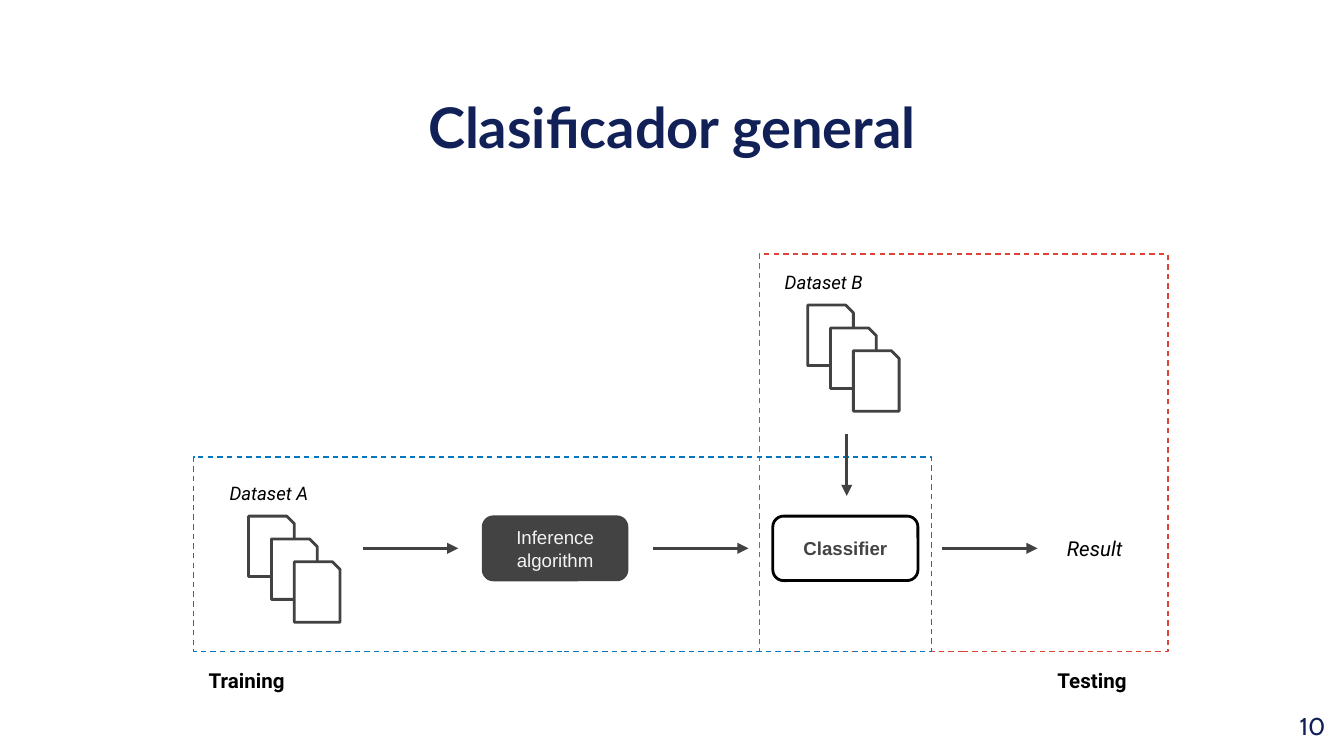
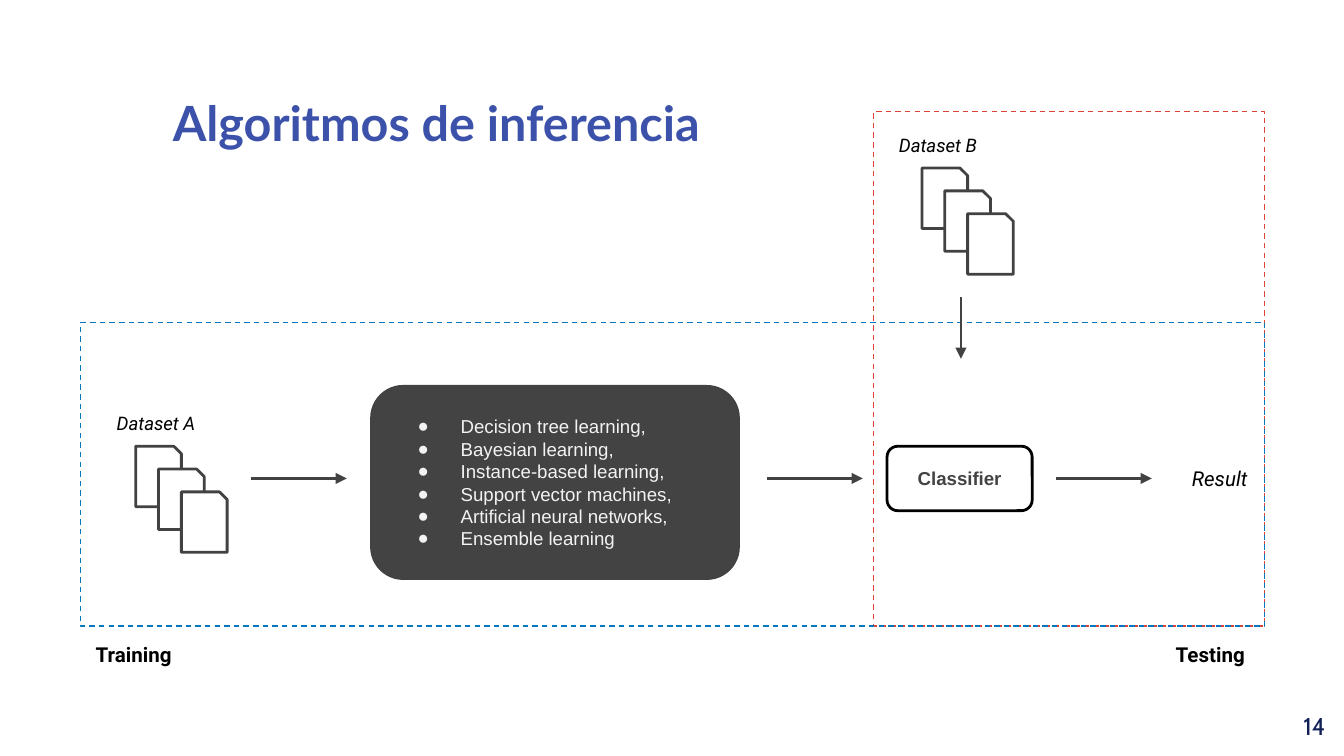
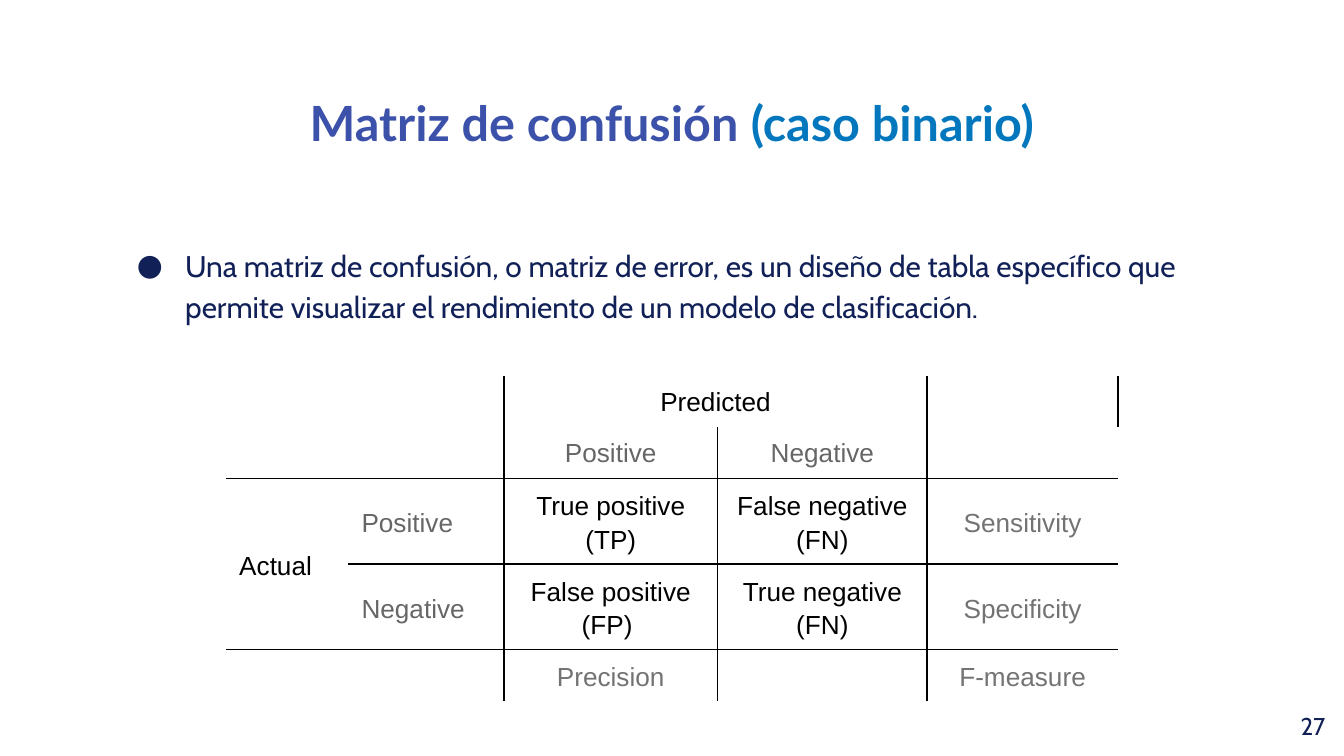
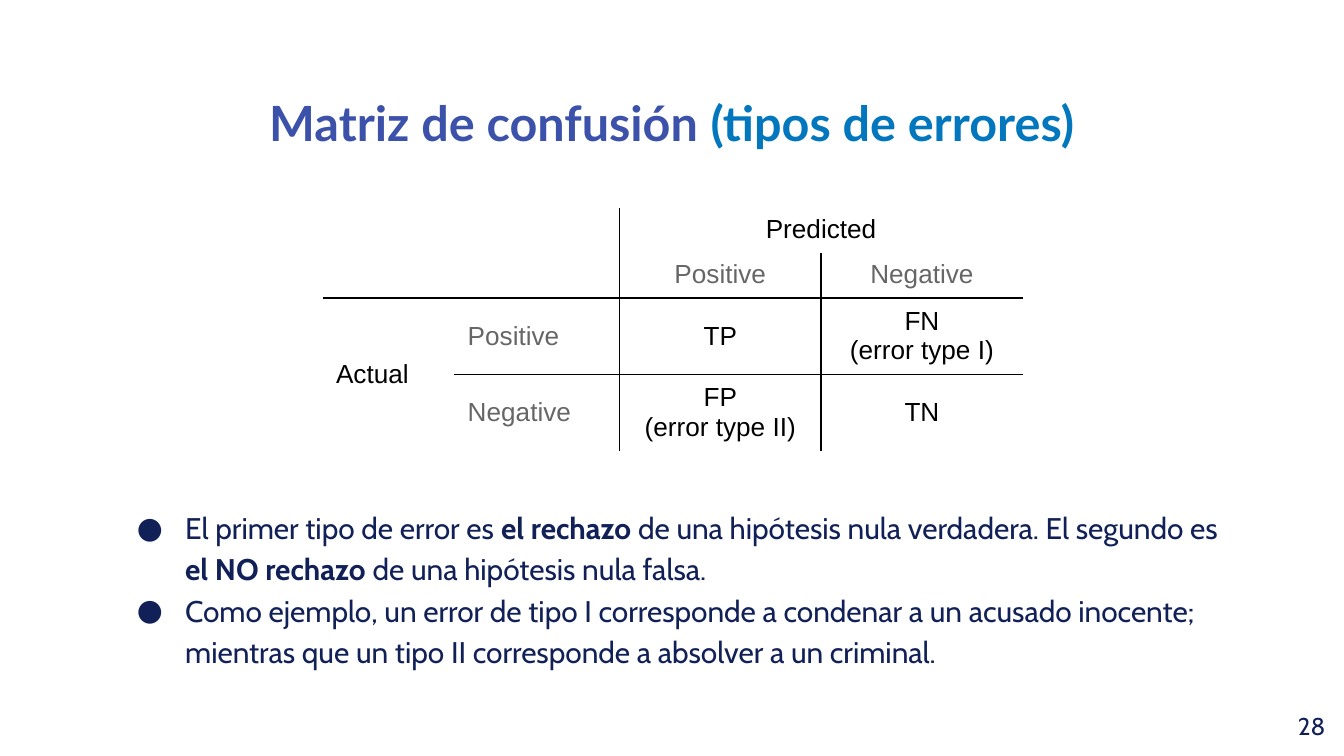
from lxml.etree import SubElement
from pptx import Presentation
from pptx.dml.color import RGBColor
from pptx.enum.dml import MSO_LINE
from pptx.enum.shapes import MSO_CONNECTOR, MSO_SHAPE
from pptx.enum.text import MSO_ANCHOR, PP_ALIGN
from pptx.oxml.ns import qn
from pptx.util import Inches, Pt

WIDTH = 10
HEIGHT = WIDTH * 9 / 16
NAVY, INDIGO, BLUE, RED = "112158", "3C51A9", "0277BD", "DB4437"
BLACK, WHITE, DARK, OUTLINE, PALE = "000000", "FFFFFF", "434343", "424242", "F3F3F3"
HEADING, MEASURE = "666666", "737373"

GAP, ARROW, DROP = 0.18, 0.71, 0.46
NODE_W, NODE_H = 1.08, 0.48
DOC_W, DOC_H, DOC_COUNT = 0.34, 0.45, 3
DOC_STEP = DOC_W / 2
LABEL_H, LABEL_TO_DOCS = 0.26, 0.3
STACK_H = DOC_H + (DOC_COUNT - 1) * DOC_STEP

PIPELINES = [
    {
        "number": 10, "title": [("Clasificador general", {"color": NAVY})],
        "title_size": 30, "title_width": WIDTH,
        "testing": (5.65, 1.89, 3.04, 2.96), "training": (1.44, 3.4, 5.49, 1.45),
        "axis": 4.08, "dataset_b_top": 1.97, "result_left": 7.82, "testing_label_left": 7.73,
        "algorithm": ["Inference algorithm"], "algorithm_box": (3.59, 3.84, NODE_W, NODE_H),
        "bullet": None,
    },
    {
        "number": 14, "title": [("Algoritmos de inferencia", {})],
        "title_size": 26, "title_width": 6.5,
        "testing": (6.5, 0.83, 2.91, 3.83), "training": (0.6, 2.4, 8.81, 2.26),
        "axis": 3.56, "dataset_b_top": 0.95, "result_left": 8.75, "testing_label_left": 8.61,
        "algorithm": [
            "Decision tree learning,", "Bayesian learning,", "Instance-based learning,",
            "Support vector machines,", "Artificial neural networks,", "Ensemble learning",
        ],
        "algorithm_box": (2.76, 2.87, 2.74, 1.44), "bullet": (0.5, -0.32),
    },
]

MATRICES = [
    {
        "number": 27,
        "title": [("Matriz de confusión ", {}), ("(caso binario)", {"color": BLUE})],
        "body": ["Una matriz de confusión, o matriz de error, es un diseño de tabla específico "
                 "que permite visualizar el rendimiento de un modelo de clasificación."],
        "body_anchor": MSO_ANCHOR.TOP,
        "corner": (1.68, 2.8), "spacing": 1.15,
        "columns": [0.91, 1.16, 1.59, 1.56, 1.42], "rows": [0.38, 0.38, 0.41, 0.41, 0.38],
        "cells": [
            ["", "", "Predicted", "", ""],
            ["", "", "Positive", "Negative", ""],
            ["Actual", "Positive", "True positive (TP)", "False negative (FN)", "Sensitivity"],
            ["", "Negative", "False positive (FP) ", "True negative\n(FN)", "Specificity"],
            ["", "", "Precision", "", "F-measure"],
        ],
        "row_rules": {2: range(0, 5), 3: range(1, 5), 4: range(0, 5)},
        "column_rules": {2: range(0, 5), 3: range(1, 5), 4: range(0, 5), 5: range(0, 1)},
    },
    {
        "number": 28,
        "title": [("Matriz de confusión ", {}), ("(tipos de errores)", {"color": BLUE})],
        "body": [
            [("El primer tipo de error es ", {}), ("el rechazo", {"bold": True}),
             (" de una hipótesis nula verdadera. El segundo es ", {}),
             ("el NO rechazo", {"bold": True}), (" de una hipótesis nula falsa.", {})],
            "Como ejemplo, un error de tipo I corresponde a condenar a un acusado inocente; "
            "mientras que un tipo II corresponde a absolver a un criminal.",
        ],
        "body_anchor": MSO_ANCHOR.BOTTOM,
        "corner": (2.4, 1.55), "spacing": None,
        "columns": [0.98, 1.23, 1.5, 1.5], "rows": [0.32, 0.32, 0.56, 0.11],
        "cells": [
            ["", "", "Predicted", ""],
            ["", "", "Positive", "Negative"],
            ["Actual", "Positive", "TP", "FN\n(error type I)"],
            ["", "Negative", "FP\n(error type II)", "TN"],
        ],
        "row_rules": {2: range(0, 4), 3: range(1, 4)},
        "column_rules": {2: range(0, 4), 3: range(1, 4)},
    },
]

CELL_COLORS = {
    **dict.fromkeys(["Positive", "Negative"], HEADING),
    **dict.fromkeys(["Sensitivity", "Specificity", "Precision", "F-measure"], MEASURE),
}


def rgb(value):
    """Turn a hex string into a colour."""
    return RGBColor.from_string(value)


def add_bullet(paragraph, indent, color, font):
    """Give a paragraph a round bullet with a hanging indent."""
    left, hanging = indent
    properties = paragraph._p.get_or_add_pPr()
    properties.set("marL", str(Inches(left)))
    properties.set("indent", str(Inches(hanging)))
    SubElement(SubElement(properties, qn("a:buClr")), qn("a:srgbClr"), val=color)
    SubElement(properties, qn("a:buFont"), typeface=font)
    SubElement(properties, qn("a:buChar"), char="●")


def write(frame, paragraphs, size=10, font="Arial", color=BLACK, bold=False, italic=False,
          align=PP_ALIGN.LEFT, spacing=None, bullet=None):
    """Fill a text frame with paragraphs, each a string or a list of (text, changes)."""
    frame.word_wrap = True
    for index, content in enumerate(paragraphs):
        paragraph = frame.add_paragraph() if index else frame.paragraphs[0]
        if bullet:
            add_bullet(paragraph, bullet, color, font)
        paragraph.alignment, paragraph.line_spacing = align, spacing
        runs = [(content, {})] if isinstance(content, str) else content
        for text, changes in runs if content else ():
            run = paragraph.add_run()
            run.text = text
            run.font.size, run.font.name = Pt(size), font
            run.font.bold, run.font.italic = changes.get("bold", bold), italic
            run.font.color.rgb = rgb(changes.get("color", color))
        ending = SubElement(paragraph._p, qn("a:endParaRPr"), sz=str(size * 100))
        SubElement(ending, qn("a:latin"), typeface=font)


def set_margins(frame, anchor):
    """Apply the shared insets and the vertical anchor."""
    frame.margin_left = frame.margin_right = frame.margin_top = frame.margin_bottom = Inches(0.1)
    frame.vertical_anchor = anchor


def add_text(shapes, box, paragraphs, anchor=MSO_ANCHOR.MIDDLE, **style):
    """Add a text box."""
    frame = shapes.add_textbox(*map(Inches, box)).text_frame
    set_margins(frame, anchor)
    write(frame, paragraphs, **style)


def add_box(shapes, kind, box, line, weight, fill=None, dashed=False, paragraphs=(), **style):
    """Add an outlined preset shape, with text if any."""
    shape = shapes.add_shape(kind, *map(Inches, box))
    shape.shadow.inherit = False
    shape.line.color.rgb, shape.line.width = rgb(line), Pt(weight)
    if dashed:
        shape.line.dash_style = MSO_LINE.DASH
    if fill:
        shape.fill.solid()
        shape.fill.fore_color.rgb = rgb(fill)
    else:
        shape.fill.background()
    if paragraphs:
        set_margins(shape.text_frame, MSO_ANCHOR.MIDDLE)
        write(shape.text_frame, paragraphs, **style)


def add_arrow(shapes, left, top, across=0, down=0):
    """Add a straight arrow that runs across or down."""
    ends = (left, top, left + across, top + down)
    arrow = shapes.add_connector(MSO_CONNECTOR.STRAIGHT, *map(Inches, ends))
    arrow.line.color.rgb, arrow.line.width = rgb(OUTLINE), Pt(1.5)
    SubElement(arrow.line._get_or_add_ln(), qn("a:tailEnd"), type="triangle")
    SubElement(arrow._element.spPr, qn("a:effectLst"))


def add_dataset(shapes, label, left, top, width):
    """Add a labelled stack of documents, the first one centred under the label."""
    group = shapes.add_group_shape().shapes
    add_text(group, (left, top, width, LABEL_H), [label], font="Roboto", italic=True)
    for step in range(DOC_COUNT):
        shift = step * DOC_STEP
        box = (left + (width - DOC_W) / 2 + shift, top + LABEL_TO_DOCS + shift, DOC_W, DOC_H)
        add_box(group, MSO_SHAPE.SNIP_1_RECTANGLE, box, OUTLINE, 1.5, WHITE)


def start_slide(deck, content, title_size=26, title_width=WIDTH):
    """Add a blank slide with its number and title."""
    shapes = deck.slides.add_slide(deck.slide_layouts[6]).shapes
    add_text(shapes, (9.36, 5.19, 0.6, 0.43), [str(content["number"])], MSO_ANCHOR.TOP,
             size=13, font="Cabin", color=NAVY, align=PP_ALIGN.RIGHT)
    add_text(shapes, (0, 0.59, title_width, 0.63), [content["title"]], MSO_ANCHOR.TOP,
             size=title_size, font="Lato", color=INDIGO, bold=True, align=PP_ALIGN.CENTER)
    return shapes


def build_pipeline(deck, content):
    """Draw the training and testing flow of a classifier."""
    shapes = start_slide(deck, content, content["title_size"], content["title_width"])
    training, testing, axis = content["training"], content["testing"], content["axis"]
    for area, color in ((testing, RED), (training, BLUE)):
        add_box(shapes, MSO_SHAPE.RECTANGLE, area, color, 0.75, dashed=True)

    dataset_top = content["dataset_b_top"]
    add_dataset(shapes, "Dataset A", training[0] + 0.17, axis - 0.54, 0.82)
    add_dataset(shapes, "Dataset B", testing[0] + 0.09, dataset_top, 0.88)
    add_arrow(shapes, testing[0] + 0.65, dataset_top + LABEL_TO_DOCS + STACK_H + GAP - 0.01,
              down=DROP)

    algorithm_box = content["algorithm_box"]
    classifier_box = (testing[0] + 0.1, axis - NODE_H / 2, NODE_W, NODE_H)
    add_box(shapes, MSO_SHAPE.ROUNDED_RECTANGLE, algorithm_box, OUTLINE, 0.75, DARK,
            paragraphs=content["algorithm"], color=PALE, bullet=content["bullet"],
            align=PP_ALIGN.LEFT if content["bullet"] else PP_ALIGN.CENTER)
    add_box(shapes, MSO_SHAPE.ROUNDED_RECTANGLE, classifier_box, BLACK, 1.5, WHITE,
            paragraphs=["Classifier"], color=DARK, bold=True, align=PP_ALIGN.CENTER)
    for node in (algorithm_box, classifier_box):
        add_arrow(shapes, node[0] - GAP - ARROW, axis, across=ARROW)
    add_arrow(shapes, classifier_box[0] + NODE_W + GAP, axis, across=ARROW)

    add_text(shapes, (content["result_left"], axis - LABEL_H / 2, 0.65, LABEL_H), ["Result"],
             size=11, font="Roboto", italic=True, align=PP_ALIGN.CENTER)
    caption_top = training[1] + training[3] + 0.08
    for caption, left in (("Training", training[0]), ("Testing", content["testing_label_left"])):
        add_text(shapes, (left, caption_top, 0.79, LABEL_H), [caption],
                 size=11, font="Roboto", bold=True, align=PP_ALIGN.CENTER)


def draw_borders(cell, edges):
    """Draw or clear each edge of a cell."""
    properties = cell._tc.get_or_add_tcPr()
    for side, visible in edges.items():
        line = SubElement(properties, qn(f"a:ln{side}"), w=str(Pt(1)))
        if visible:
            SubElement(SubElement(line, qn("a:solidFill")), qn("a:srgbClr"), val=BLACK)
        else:
            SubElement(line, qn("a:noFill"))


def build_matrix(deck, content):
    """Show a confusion matrix with its explanation."""
    shapes = start_slide(deck, content)
    add_text(shapes, (0.78, 1.7, 8.43, 3.38), content["body"], content["body_anchor"],
             size=16, font="Cabin", color=NAVY, spacing=1.15, bullet=(0.5, -0.36))
    columns, rows = content["columns"], content["rows"]
    box = (*content["corner"], sum(columns), sum(rows))
    matrix = shapes.add_table(len(rows), len(columns), *map(Inches, box)).table
    matrix.first_row = matrix.horz_banding = False
    for column, width in zip(matrix.columns, columns):
        column.width = Inches(width)
    for row, height in zip(matrix.rows, rows):
        row.height = Inches(height)
    matrix.cell(0, 2).merge(matrix.cell(0, 3))
    matrix.cell(2, 0).merge(matrix.cell(3, 0))

    row_rules, column_rules = content["row_rules"], content["column_rules"]
    for r, texts in enumerate(content["cells"]):
        for c, text in enumerate(texts):
            cell = matrix.cell(r, c)
            right, bottom = c + cell.span_width, r + cell.span_height
            draw_borders(cell, {
                "L": r in column_rules.get(c, ()), "R": r in column_rules.get(right, ()),
                "T": c in row_rules.get(r, ()), "B": c in row_rules.get(bottom, ()),
            })
            cell.fill.background()
            cell.vertical_anchor = MSO_ANCHOR.TOP if r < 2 else MSO_ANCHOR.MIDDLE
            write(cell.text_frame, text.split("\n"), size=14,
                  color=CELL_COLORS.get(text, BLACK), spacing=content["spacing"],
                  align=PP_ALIGN.LEFT if c < 2 else PP_ALIGN.CENTER)


def main():
    """Build the slides and save them."""
    deck = Presentation()
    deck.slide_width, deck.slide_height = Inches(WIDTH), Inches(HEIGHT)
    for content in PIPELINES:
        build_pipeline(deck, content)
    for content in MATRICES:
        build_matrix(deck, content)
    deck.save("out.pptx")


if __name__ == "__main__":
    main()
